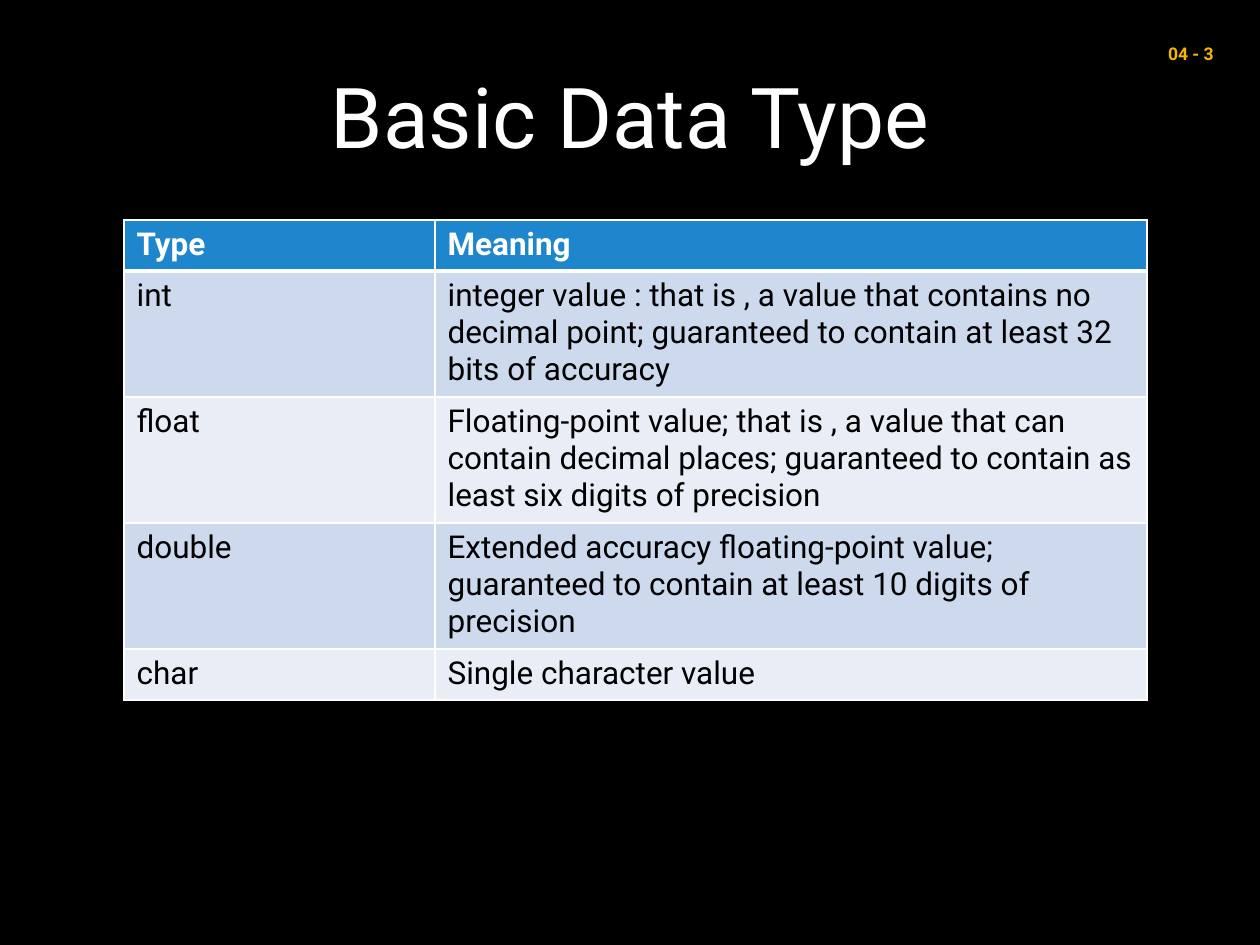
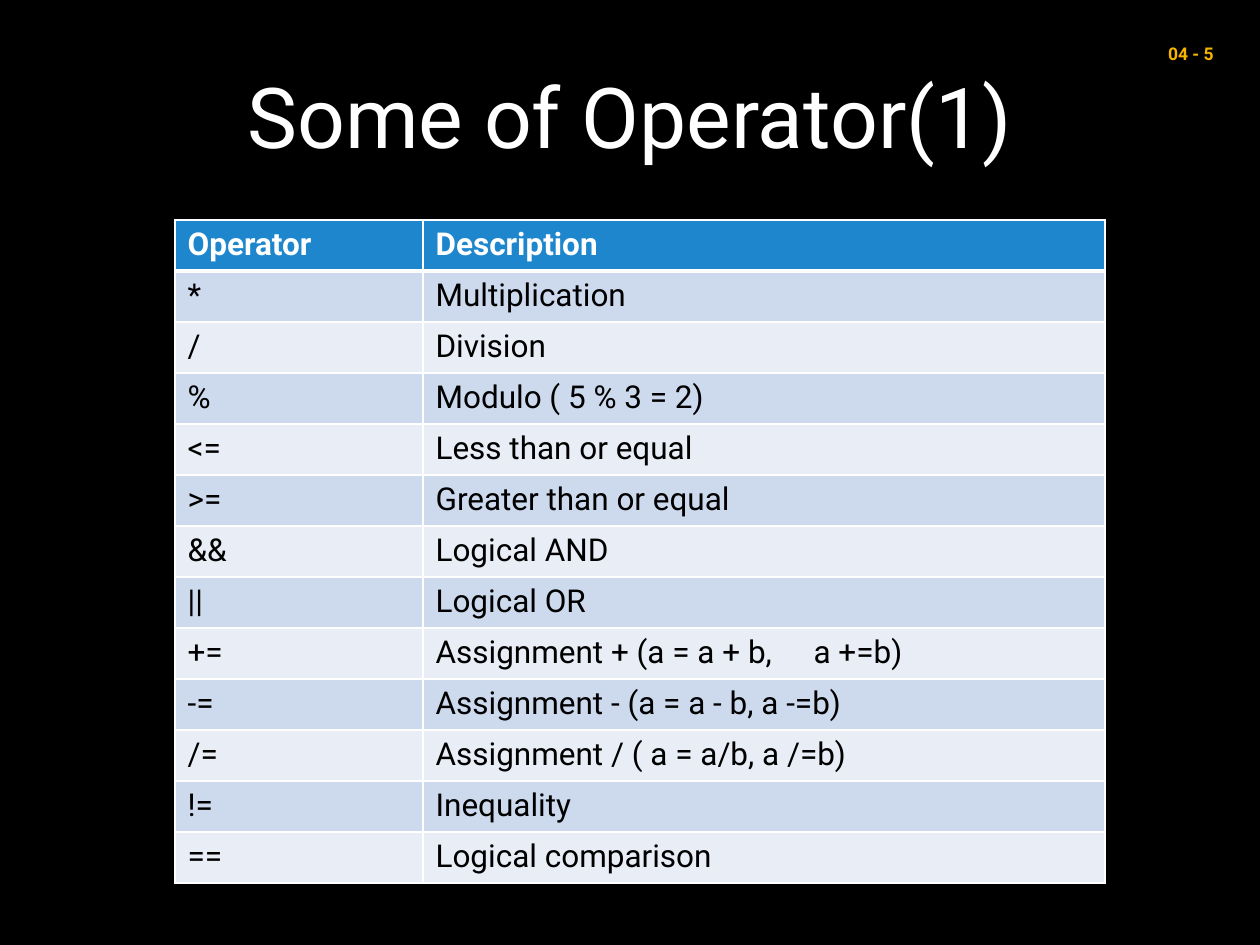
from lxml import etree
from pptx import Presentation
from pptx import util as u
from pptx.dml.color import RGBColor
from pptx.enum import text
from pptx.oxml import ns

PX_PER_INCH = 126
FONT = "Roboto"
BLACK = RGBColor(0x00, 0x00, 0x00)
WHITE = RGBColor(0xFF, 0xFF, 0xFF)
GOLD = RGBColor(0xF7, 0xB5, 0x00)
HEADER_BLUE = RGBColor(0x1D, 0x86, 0xCD)
BANDS = (RGBColor(0xCD, 0xD9, 0xED), RGBColor(0xE8, 0xED, 0xF6))
TABLE_TOP = 220
ROW_HEIGHT = 51

DATA_TYPES = [
    ("Type", "Meaning"),
    ("int", "integer value : that is , a value that contains no decimal point; "
            "guaranteed to contain at least 32 bits of accuracy"),
    ("float", "Floating-point value; that is , a value that can contain decimal "
              "places; guaranteed to contain as least six digits of precision"),
    ("double", "Extended accuracy floating-point value; guaranteed to contain "
               "at least 10 digits of precision"),
    ("char", "Single character value"),
]

OPERATORS = [
    ("Operator", "Description"),
    ("*", "Multiplication"),
    ("/", "Division"),
    ("%", "Modulo ( 5 % 3 = 2)"),
    ("<=", "Less than or equal"),
    (">=", "Greater than or equal"),
    ("&&", "Logical AND"),
    ("||", "Logical OR"),
    ("+=", "Assignment + (a = a + b,\ta +=b)"),
    ("-=", "Assignment - (a = a - b, a -=b)"),
    ("/=", "Assignment / ( a = a/b, a /=b)"),
    ("!=", "Inequality"),
    ("==", "Logical comparison"),
]


def px(n):
    return u.Emu(round(n * u.Inches(1) / PX_PER_INCH))


def write(tf, words, size=18, color=BLACK, bold=False, align=text.PP_ALIGN.LEFT):
    p = tf.paragraphs[0]
    p.alignment = align
    r = p.add_run()
    r.text = words
    r.font.name = FONT
    r.font.size = u.Pt(size)
    r.font.bold = bold
    r.font.color.rgb = color


def set_borders(cell, **widths):
    tc_pr = cell._tc.get_or_add_tcPr()
    for side in "LRTB":
        ln = etree.SubElement(tc_pr, ns.qn(f"a:ln{side}"), w=str(u.Pt(widths.get(side, 1))))
        fill = etree.SubElement(ln, ns.qn("a:solidFill"))
        etree.SubElement(fill, ns.qn("a:srgbClr"), val=str(WHITE))


class Deck:
    def __init__(self):
        self.prs = Presentation()
        self.prs.slide_width = px(1260)
        self.prs.slide_height = px(945)
        self.s = None

    def slide(self, title, number):
        self.s = self.prs.slides.add_slide(self.prs.slide_layouts[6])
        fill = self.s.background.fill
        fill.solid()
        fill.fore_color.rgb = BLACK
        self.label(title, 94, 16, 1072, 197, size=48, color=WHITE,
                   align=text.PP_ALIGN.CENTER, anchor=text.MSO_ANCHOR.MIDDLE)
        self.label(f"04 - {number}", 1097, 37, 129, 34, size=10, color=GOLD,
                   bold=True, align=text.PP_ALIGN.RIGHT)

    def label(self, words, x, y, w, h, anchor=text.MSO_ANCHOR.TOP, **style):
        tf = self.s.shapes.add_textbox(px(x), px(y), px(w), px(h)).text_frame
        tf.word_wrap = True
        tf.vertical_anchor = anchor
        write(tf, words, **style)

    def table(self, rows, x, widths):
        sp = self.s.shapes.add_table(len(rows), len(widths), px(x), px(TABLE_TOP),
                                     px(sum(widths)), px(ROW_HEIGHT * len(rows)))
        table = sp.table
        for column, width in zip(table.columns, widths):
            column.width = px(width)
        for i, row in enumerate(rows):
            table.rows[i].height = px(ROW_HEIGHT)
            header = i == 0
            for j, words in enumerate(row):
                cell = table.cell(i, j)
                set_borders(cell, T=3 if i == 1 else 1, B=3 if header else 1)
                cell.fill.solid()
                cell.fill.fore_color.rgb = HEADER_BLUE if header else BANDS[(i - 1) % 2]
                write(cell.text_frame, words, color=WHITE if header else BLACK, bold=header)


def main():
    deck = Deck()
    deck.slide("Basic Data Type", 3)
    deck.table(DATA_TYPES, 124, (311, 712))
    deck.slide("Some of Operator(1)", 5)
    deck.table(OPERATORS, 175, (248, 682))
    deck.prs.save("out.pptx")


if __name__ == "__main__":
    main()
